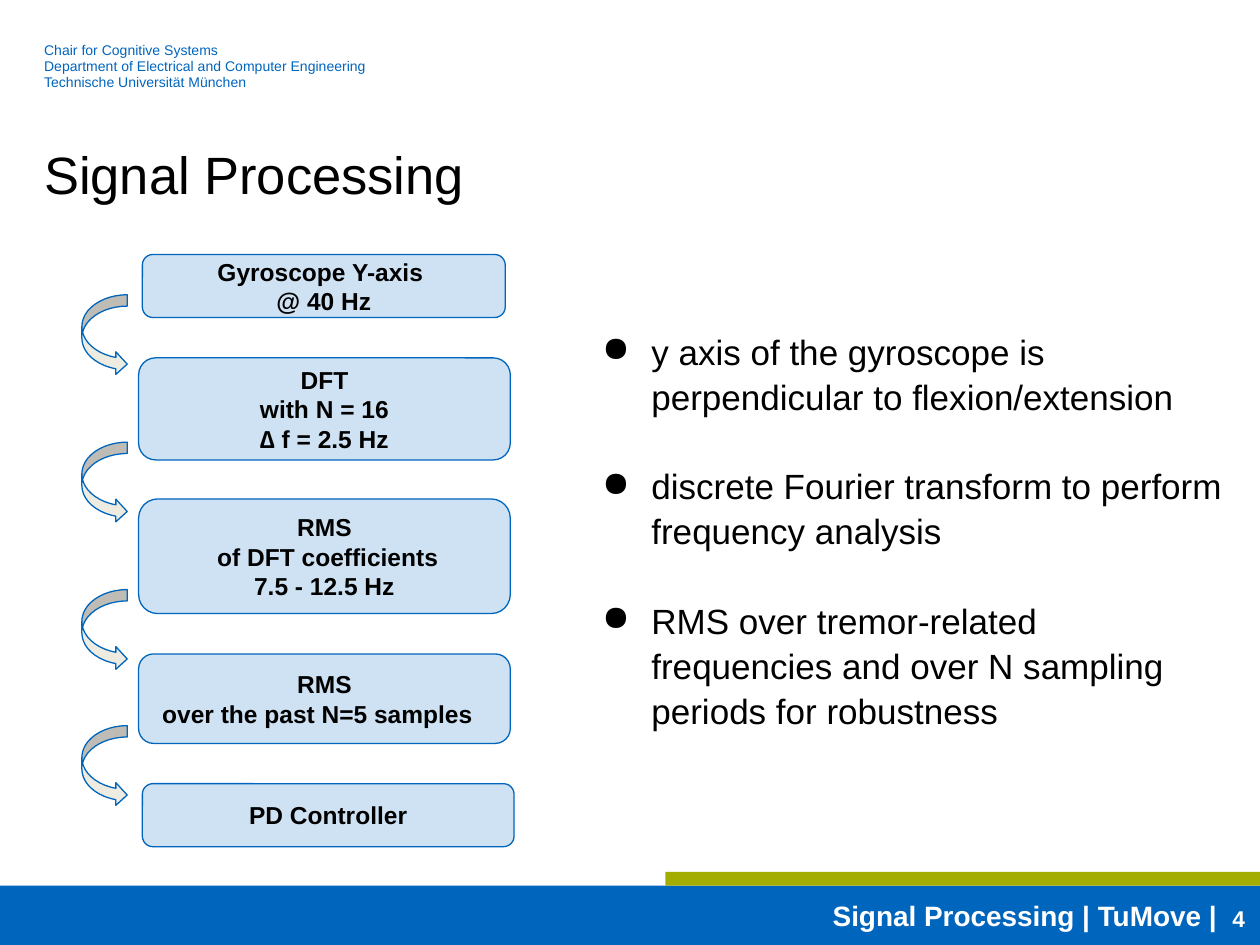
from lxml import etree
from pptx import Presentation
from pptx.dml.color import RGBColor
from pptx.enum.shapes import MSO_SHAPE
from pptx.enum.text import MSO_ANCHOR, PP_ALIGN
from pptx.oxml.ns import qn
from pptx.util import Inches, Pt

RECTANGLE = MSO_SHAPE.RECTANGLE
ROUNDED = MSO_SHAPE.ROUNDED_RECTANGLE
CURVED_ARROW = MSO_SHAPE.CURVED_RIGHT_ARROW
TOP, MIDDLE = MSO_ANCHOR.TOP, MSO_ANCHOR.MIDDLE
LEFT, CENTER, RIGHT = PP_ALIGN.LEFT, PP_ALIGN.CENTER, PP_ALIGN.RIGHT

BLUE, GREEN, PALE, CREAM = "0065BD", "A2AD00", "CFE2F3", "EEECE1"
BLACK, WHITE = "000000", "FFFFFF"

STEPS = [
    ((1.13, 2.02, 2.88, 0.5), ["Gyroscope Y-axis ", "@ 40 Hz"]),
    ((1.1, 2.84, 2.95, 0.81), ["DFT", "with N = 16", "∆ f = 2.5 Hz"]),
    ((1.1, 3.96, 2.95, 0.91), ["RMS", " of DFT coefficients", "7.5 - 12.5 Hz"]),
    ((1.1, 5.19, 2.95, 0.71), ["RMS", " over the past N=5 samples"]),
    ((1.13, 6.22, 2.95, 0.5), ["PD Controller"]),
]
ARROW_TOPS = [2.34, 3.51, 4.68, 5.76]
POINTS = [
    "y axis of the gyroscope is perpendicular to flexion/extension",
    "discrete Fourier transform to perform frequency analysis",
    "RMS over tremor-related frequencies and over N sampling periods for robustness",
]


def color(value):
    return RGBColor.from_string(value)


def inches(box):
    return [Inches(length) for length in box]


def write(shape, lines, size, ink, bold=False, align=LEFT, spacing=None,
          insets=(0, 0, 0, 0), anchor=TOP):
    frame = shape.text_frame
    frame.word_wrap = True
    frame.vertical_anchor = anchor
    (frame.margin_left, frame.margin_top,
     frame.margin_right, frame.margin_bottom) = inches(insets)
    frame.text = "\n".join(lines)
    for paragraph in frame.paragraphs:
        paragraph.alignment = align
        paragraph.line_spacing = spacing
        paragraph.font.name = "Arial"
        paragraph.font.size = Pt(size)
        paragraph.font.bold = bold
        paragraph.font.color.rgb = color(ink)
    return frame


def add_text(slide, box, *args, **kwargs):
    return write(slide.shapes.add_textbox(*inches(box)), *args, **kwargs)


def add_filled(slide, kind, box, fill, outline=None):
    shape = slide.shapes.add_shape(kind, *inches(box))
    shape.shadow.inherit = False
    shape.fill.solid()
    shape.fill.fore_color.rgb = color(fill)
    if outline:
        shape.line.color.rgb = color(outline)
        shape.line.width = Pt(0.75)
    else:
        shape.line.fill.background()
    return shape


def add_header(slide, box):
    lines = ["Chair for Cognitive Systems",
             "Department of Electrical and Computer Engineering",
             "Technische Universität München"]
    add_text(slide, box, lines, 8, BLUE, spacing=0.94)


def add_title(slide, box):
    add_text(slide, box, ["Signal Processing"], 30, BLACK, spacing=1.07)


def add_footer(slide, box):
    left, top, width, height = box
    add_filled(slide, RECTANGLE, box, BLUE)
    add_filled(slide, RECTANGLE, (left + 5.28, top - 0.11, width - 5.28, 0.11), GREEN)
    add_text(slide, (left + 3.98, top, 5.84, height), ["Signal Processing | TuMove |"],
             16, WHITE, bold=True, align=RIGHT, insets=(0.1, 0.1, 0.16, 0.1))
    add_text(slide, (left + 9.28, top + 0.1, 0.6, 0.37), ["4"],
             13, WHITE, bold=True, align=RIGHT, insets=(0, 0.05, 0, 0.05))


def add_flow(slide, steps, arrow_left, arrow_tops):
    for box, lines in steps:
        step = add_filled(slide, ROUNDED, box, PALE, BLUE)
        frame = write(step, lines, 14, BLACK, bold=True, align=CENTER,
                      insets=(0.1, 0.1, 0.1, 0.1), anchor=MIDDLE)
        if "past" in lines[-1]:
            frame.paragraphs[-1].alignment = LEFT
    for top in arrow_tops:
        add_filled(slide, CURVED_ARROW, (arrow_left, top, 0.36, 0.64), CREAM, BLUE)


def add_points(slide, box, points):
    frame = slide.shapes.add_textbox(*inches(box))
    frame.text_frame.text = "\n".join(points)
    write(frame, points, 20, BLACK, spacing=1.07)
    for index, paragraph in enumerate(frame.text_frame.paragraphs):
        if index:
            paragraph.space_before = Pt(25.4)
        properties = paragraph._p.get_or_add_pPr()
        properties.set("marL", str(Inches(0.5)))
        properties.set("indent", str(Inches(-0.39)))
        bullet = etree.Element(qn("a:buChar"), char="●")
        properties.find(qn("a:defRPr")).addprevious(bullet)


def main():
    deck = Presentation()
    deck.slide_width, deck.slide_height = Inches(10), Inches(7.5)
    slide = deck.slides.add_slide(deck.slide_layouts[6])
    add_header(slide, (0.35, 0.34, 8.42, 0.38))
    add_title(slide, (0.35, 1.09, 9.31, 0.5))
    add_footer(slide, (0, 7.03, 10, 0.47))
    add_flow(slide, STEPS, 0.65, ARROW_TOPS)
    add_points(slide, (4.67, 2.6, 5.06, 3.21), POINTS)
    deck.save("out.pptx")


if __name__ == "__main__":
    main()
